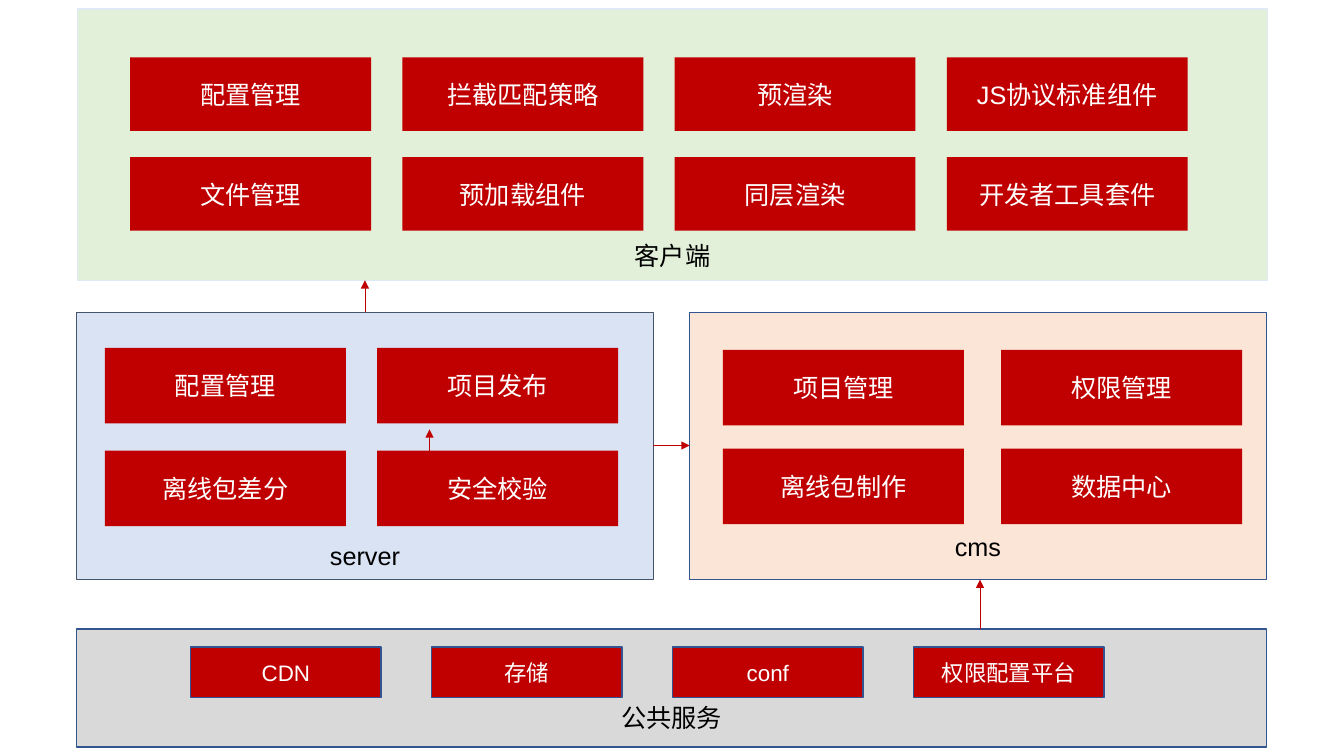
"""Build the offline-package architecture slide: client, server, cms and shared services."""
from lxml import etree
from pptx import Presentation, util as u
from pptx.dml.color import RGBColor
from pptx.enum import shapes, text
from pptx.oxml.ns import qn

RED = RGBColor(0xC0, 0x00, 0x00)
BLUE = RGBColor(0x32, 0x54, 0x91)
SLATE = RGBColor(0x44, 0x54, 0x6A)
PALE_BLUE = RGBColor(0xDE, 0xEB, 0xF7)
GREY = RGBColor(0xD9, 0xD9, 0xD9)
SKY = RGBColor(0xDA, 0xE3, 0xF3)
PEACH = RGBColor(0xFB, 0xE5, 0xD6)
GREEN = RGBColor(0xE2, 0xF0, 0xD9)
WHITE = RGBColor(0xFF, 0xFF, 0xFF)
BLACK = RGBColor(0x00, 0x00, 0x00)

LAYERS = [
    dict(title="公共服务", area=(0.76, 6.24, 11.8, 1.17), fill=GREY, border=BLUE,
         title_top=6.92, start=(1.89, 6.42), pitch=(2.39, 0), card=(1.89, 0.5),
         size=16, card_border=BLUE,
         rows=[["CDN", "存储", "conf", "权限配置平台"]]),
    dict(title="server", area=(0.76, 3.1, 5.72, 2.65), fill=SKY, border=SLATE,
         title_top=5.31, start=(1.04, 3.45), pitch=(2.7, 1.02), card=(2.39, 0.75),
         size=18, card_border=None,
         rows=[["配置管理", "项目发布"], ["离线包差分", "安全校验"]]),
    dict(title="cms", area=(6.84, 3.1, 5.72, 2.65), fill=PEACH, border=BLUE,
         title_top=5.22, start=(7.17, 3.47), pitch=(2.76, 0.98), card=(2.39, 0.75),
         size=18, card_border=None,
         rows=[["项目管理", "权限管理"], ["离线包制作", "数据中心"]]),
    dict(title="客户端", area=(0.77, 0.09, 11.8, 2.69), fill=GREEN, border=PALE_BLUE,
         title_top=2.33, start=(1.29, 0.57), pitch=(2.7, 0.99), card=(2.39, 0.73),
         size=18, card_border=None,
         rows=[["配置管理", "拦截匹配策略", "预渲染", "JS协议标准组件"],
               ["文件管理", "预加载组件", "同层渲染", "开发者工具套件"]]),
]
FLOWS = [
    ((4.26, 4.76), (4.26, 4.26)),
    ((9.72, 6.24), (9.72, 5.75)),
    ((6.48, 4.42), (6.84, 4.42)),
    ((3.62, 3.1), (3.62, 2.78)),
]
TITLE_WIDTH, TITLE_HEIGHT = 2.33, 0.4

deck = Presentation()
deck.slide_width, deck.slide_height = u.Inches(13.33), u.Inches(7.5)
slide = deck.slides.add_slide(deck.slide_layouts[6])


def inches(values):
    return [u.Inches(value) for value in values]


def add_box(area, fill, border):
    box = slide.shapes.add_shape(shapes.MSO_SHAPE.RECTANGLE, *inches(area))
    box.shadow.inherit = False
    box.fill.solid()
    box.fill.fore_color.rgb = fill
    if border is None:
        box.line.fill.background()
    else:
        box.line.color.rgb = border
        box.line.width = u.Pt(1)
    return box


def write(holder, wording, size, color):
    frame = holder.text_frame
    frame.word_wrap = True
    frame.vertical_anchor = text.MSO_ANCHOR.MIDDLE
    paragraph = frame.paragraphs[0]
    paragraph.alignment = text.PP_ALIGN.CENTER
    run = paragraph.add_run()
    run.text = wording
    run.font.name = "Arial"
    run.font.size = u.Pt(size)
    run.font.color.rgb = color


def add_arrow(start, end):
    arrow = slide.shapes.add_connector(shapes.MSO_CONNECTOR.STRAIGHT, *inches(start + end))
    arrow.line.color.rgb = RED
    arrow.line.width = u.Pt(0.5)
    etree.SubElement(arrow.line._get_or_add_ln(), qn("a:tailEnd"), type="triangle")
    etree.SubElement(arrow._element.spPr, qn("a:effectLst"))


def add_cards(layer):
    (left, top), (across, down) = layer["start"], layer["pitch"]
    for row, names in enumerate(layer["rows"]):
        for column, name in enumerate(names):
            corner = (left + column * across, top + row * down)
            card = add_box(corner + layer["card"], RED, layer["card_border"])
            write(card, name, layer["size"], WHITE)


def add_title(layer):
    left, _, width, _ = layer["area"]
    title_left = left + (width - TITLE_WIDTH) / 2
    title = slide.shapes.add_textbox(
        *inches((title_left, layer["title_top"], TITLE_WIDTH, TITLE_HEIGHT)))
    write(title, layer["title"], 18, BLACK)


for layer in LAYERS:
    add_box(layer["area"], layer["fill"], layer["border"])
for start, end in FLOWS:
    add_arrow(start, end)
for layer in LAYERS:
    add_cards(layer)
    add_title(layer)

deck.save("out.pptx")
